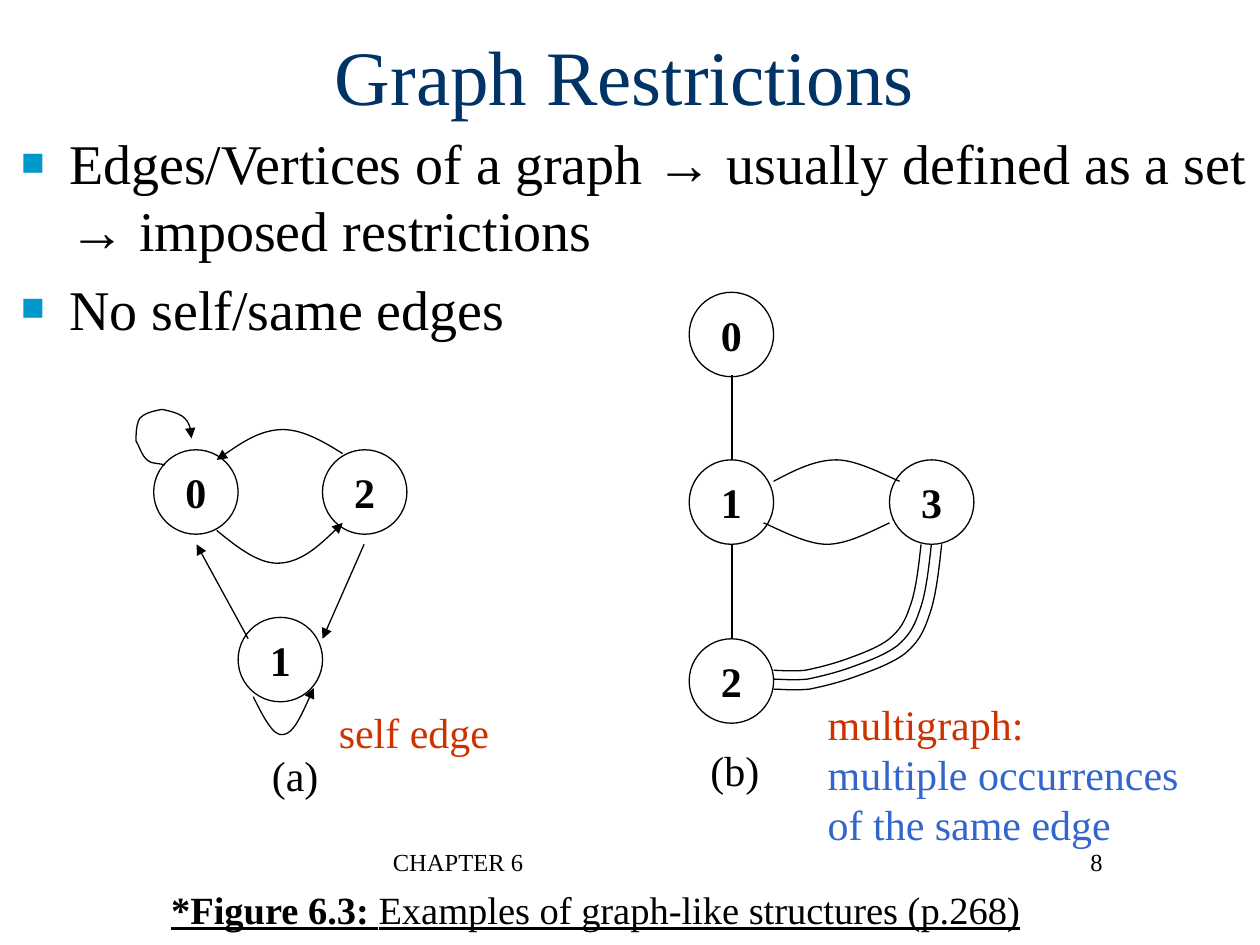
from lxml import etree
from pptx import Presentation, util as u
from pptx.dml.color import RGBColor
from pptx.enum import shapes, text
from pptx.oxml import ns

WIDTH, HEIGHT = 10, 7.5
FONT = "Times New Roman"
BLACK, RED, BLUE, NAVY, CYAN = "000000", "CC3300", "3366CC", "003366", "0099CC"
NODE = 0.67

TITLE = "Graph Restrictions"
BULLETS = [
    ["Edges/Vertices of a graph → usually defined as a set", "→ imposed restrictions"],
    ["No self/same edges"],
]
# label, left, top
NODES = [
    ("0", 1.22, 3.57), ("2", 2.56, 3.57), ("1", 1.89, 4.9),
    ("0", 5.47, 2.32), ("1", 5.47, 3.65), ("2", 5.47, 5.07), ("3", 7.06, 3.65),
]
# start, end, arrow
STRAIGHT_EDGES = [
    ((1.97, 5.07), (1.56, 4.32), True),
    ((2.89, 4.32), (2.56, 5.07), True),
    ((5.81, 2.98), (5.81, 3.65), False),
    ((5.81, 4.32), (5.81, 5.07), False),
]
# start point, then two control points and an end point per curve; arrow
CURVED_EDGES = [
    ([(1.31, 3.69), (1.27, 3.68), (1.24, 3.68), (1.2, 3.67),
      (1.13, 3.64), (1.12, 3.57), (1.08, 3.5),
      (1.08, 3.45), (1.08, 3.39), (1.1, 3.34),
      (1.12, 3.27), (1.29, 3.25), (1.29, 3.25),
      (1.43, 3.28), (1.52, 3.32), (1.52, 3.48)], True),
    ([(2.72, 3.6), (2.56, 3.5), (2.39, 3.4), (2.22, 3.41),
      (2.06, 3.42), (1.89, 3.53), (1.72, 3.65)], True),
    ([(1.72, 4.21), (1.89, 4.35), (2.06, 4.48), (2.22, 4.47),
      (2.39, 4.46), (2.56, 4.31), (2.72, 4.15)], True),
    ([(2.01, 5.53), (2.09, 5.69), (2.17, 5.85), (2.25, 5.83),
      (2.33, 5.82), (2.41, 5.64), (2.49, 5.46)], True),
    ([(6.14, 3.82), (6.31, 3.73), (6.47, 3.65), (6.64, 3.65),
      (6.81, 3.65), (7.06, 3.79), (7.14, 3.82)], False),
    ([(7.06, 4.15), (6.89, 4.23), (6.72, 4.32), (6.56, 4.32),
      (6.39, 4.32), (6.14, 4.18), (6.06, 4.15)], False),
]
# The parallel edges are one curve, scaled across and down from a common corner
PARALLEL_CORNER = (6.14, 4.32)
PARALLEL_SCALES = [(1, 1), (1.07, 1.07), (1.14, 1.15)]
PARALLEL_EDGE = [
    (1.17, 0), (1.15, 0.18), (1.13, 0.37), (1.08, 0.5),
    (1.04, 0.62), (1, 0.68), (0.92, 0.75),
    (0.83, 0.82), (0.69, 0.87), (0.58, 0.91),
    (0.47, 0.95), (0.35, 0.98), (0.25, 1),
    (0.15, 1.01), (0.04, 1), (0, 1),
]
# box, paragraphs of (text, colour), size, alignment, anchor, wrap
TOP, MIDDLE = text.MSO_ANCHOR.TOP, text.MSO_ANCHOR.MIDDLE
LEFT, CENTER, RIGHT = text.PP_ALIGN.LEFT, text.PP_ALIGN.CENTER, text.PP_ALIGN.RIGHT
LABELS = [
    ((3.02, 6.67, 3.17, 0.5), [("CHAPTER 6", BLACK)], 14, LEFT, TOP, True),
    ((6.77, 6.67, 2.08, 0.5), [("8", BLACK)], 14, RIGHT, TOP, True),
    ((2.06, 5.9, 0.57, 0.5), [("(a)", BLACK)], 24, LEFT, TOP, False),
    ((5.54, 5.86, 0.59, 0.5), [("(b)", BLACK)], 24, LEFT, TOP, False),
    ((2.59, 5.56, 1.39, 0.5), [("self edge", RED)], 24, LEFT, MIDDLE, False),
    ((6.47, 5.49, 2.98, 1.3), [("multigraph:", RED), ("multiple occurrences", BLUE),
                               ("of the same edge", BLUE)], 24, LEFT, MIDDLE, False),
]
CAPTION_BOX = (1.26, 6.98, 7.02, 0.47)
CAPTION = [("*Figure 6.3: ", True), ("Examples of graph-like structures (p.268)", False)]


def inches(values):
    return [u.Inches(value) for value in values]


def add_run(paragraph, words, size, color=BLACK, bold=False, underline=False):
    run = paragraph.add_run()
    run.text = words
    font = run.font
    font.name, font.size, font.bold = FONT, u.Pt(size), bold
    font.underline = underline
    font.color.rgb = RGBColor.from_string(color)


def prepare_frame(shape, anchor=TOP, wrap=False):
    frame = shape.text_frame
    frame.auto_size = text.MSO_AUTO_SIZE.NONE
    frame.vertical_anchor, frame.word_wrap = anchor, wrap
    return frame


def nth_paragraph(frame, index):
    return frame.paragraphs[0] if index == 0 else frame.add_paragraph()


def style_line(shape, arrow=False):
    shape.line.color.rgb = RGBColor.from_string(BLACK)
    shape.line.width = u.Pt(0.75)
    if arrow:
        line = shape.line._get_or_add_ln()
        etree.SubElement(line, ns.qn("a:tailEnd"), type="triangle")


def style_outline(shape, arrow=False):
    shape.shadow.inherit = False
    shape.fill.background()
    style_line(shape, arrow)


def add_node(slide, label, left, top):
    shape = slide.shapes.add_shape(shapes.MSO_SHAPE.OVAL, *inches((left, top, NODE, NODE)))
    style_outline(shape)
    paragraph = prepare_frame(shape, MIDDLE).paragraphs[0]
    paragraph.alignment = CENTER
    add_run(paragraph, label, 24, bold=True)


def add_straight_edge(slide, start, end, arrow):
    connector = slide.shapes.add_connector(
        shapes.MSO_CONNECTOR.STRAIGHT, *inches(start + end))
    style_line(connector, arrow)
    etree.SubElement(connector._element.spPr, ns.qn("a:effectLst"))


def add_curved_edge(slide, points, arrow):
    """Draw the control polygon, then turn each three segments into one curve."""
    start, *others = [inches(point) for point in points]
    builder = slide.shapes.build_freeform(*start)
    builder.add_line_segments(others, close=False)
    shape = builder.convert_to_shape()
    segments = list(shape._element.iter(ns.qn("a:lnTo")))
    for first in range(0, len(segments), 3):
        curve = etree.Element(ns.qn("a:cubicBezTo"))
        segments[first].addprevious(curve)
        for segment in segments[first:first + 3]:
            curve.append(segment[0])
            segment.getparent().remove(segment)
    style_outline(shape, arrow)


def add_bullet(paragraph):
    properties = paragraph._p.get_or_add_pPr()
    properties.set("marL", str(u.Inches(0.38)))
    properties.set("indent", str(-u.Inches(0.38)))
    color = etree.SubElement(properties, ns.qn("a:buClr"))
    etree.SubElement(color, ns.qn("a:srgbClr"), val=CYAN)
    etree.SubElement(properties, ns.qn("a:buSzPct"), val="70000")
    etree.SubElement(properties, ns.qn("a:buFont"), typeface=FONT)
    etree.SubElement(properties, ns.qn("a:buChar"), char="■")


def add_title(slide):
    title = slide.shapes.title
    title.left, title.top, title.width, title.height = inches((0.59, -0.03, 8.74, 1.25))
    paragraph = prepare_frame(title, MIDDLE, wrap=True).paragraphs[0]
    paragraph.alignment = CENTER
    add_run(paragraph, TITLE, 44, NAVY)


def add_bullets(slide):
    box = slide.shapes.add_textbox(*inches((0.07, 0.97, 9.96, 4.5)))
    frame = prepare_frame(box, wrap=True)
    for index, lines in enumerate(BULLETS):
        paragraph = nth_paragraph(frame, index)
        add_bullet(paragraph)
        paragraph.space_before = u.Pt(6.4 if index else 0)
        for number, line in enumerate(lines):
            if number:
                paragraph.add_line_break()
            add_run(paragraph, line, 32)


def add_label(slide, box, lines, size, alignment, anchor, wrap):
    frame = prepare_frame(slide.shapes.add_textbox(*inches(box)), anchor, wrap)
    for index, (words, color) in enumerate(lines):
        paragraph = nth_paragraph(frame, index)
        paragraph.alignment = alignment
        add_run(paragraph, words, size, color)


def main():
    presentation = Presentation()
    presentation.slide_width, presentation.slide_height = inches((WIDTH, HEIGHT))
    slide = presentation.slides.add_slide(presentation.slide_layouts[5])
    add_title(slide)
    add_bullets(slide)
    for node in NODES:
        add_node(slide, *node)
    for edge in STRAIGHT_EDGES:
        add_straight_edge(slide, *edge)
    left, top = PARALLEL_CORNER
    parallels = [([(left + across * x, top + down * y) for x, y in PARALLEL_EDGE], False)
                 for across, down in PARALLEL_SCALES]
    for edge in CURVED_EDGES + parallels:
        add_curved_edge(slide, *edge)
    for label in LABELS:
        add_label(slide, *label)
    caption = prepare_frame(slide.shapes.add_textbox(*inches(CAPTION_BOX))).paragraphs[0]
    for words, bold in CAPTION:
        add_run(caption, words, 22, bold=bold, underline=True)
    presentation.save("out.pptx")


if __name__ == "__main__":
    main()
